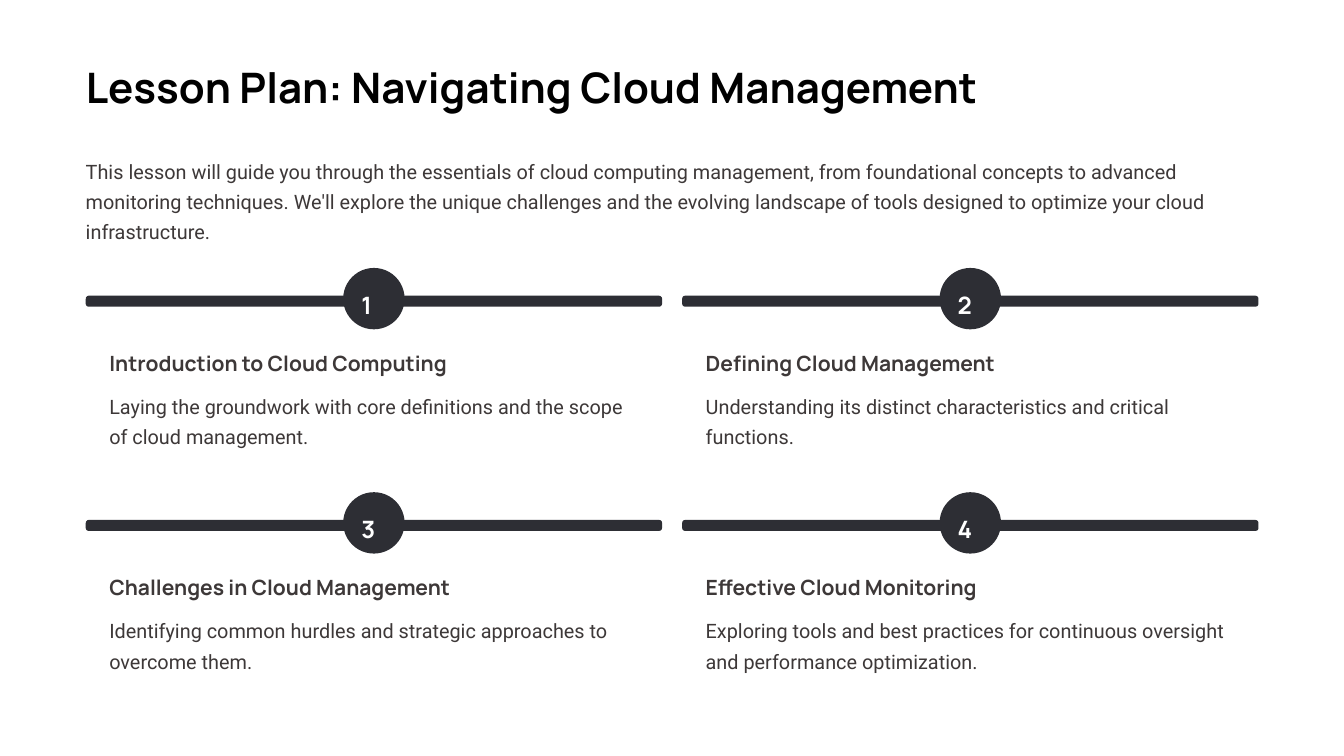
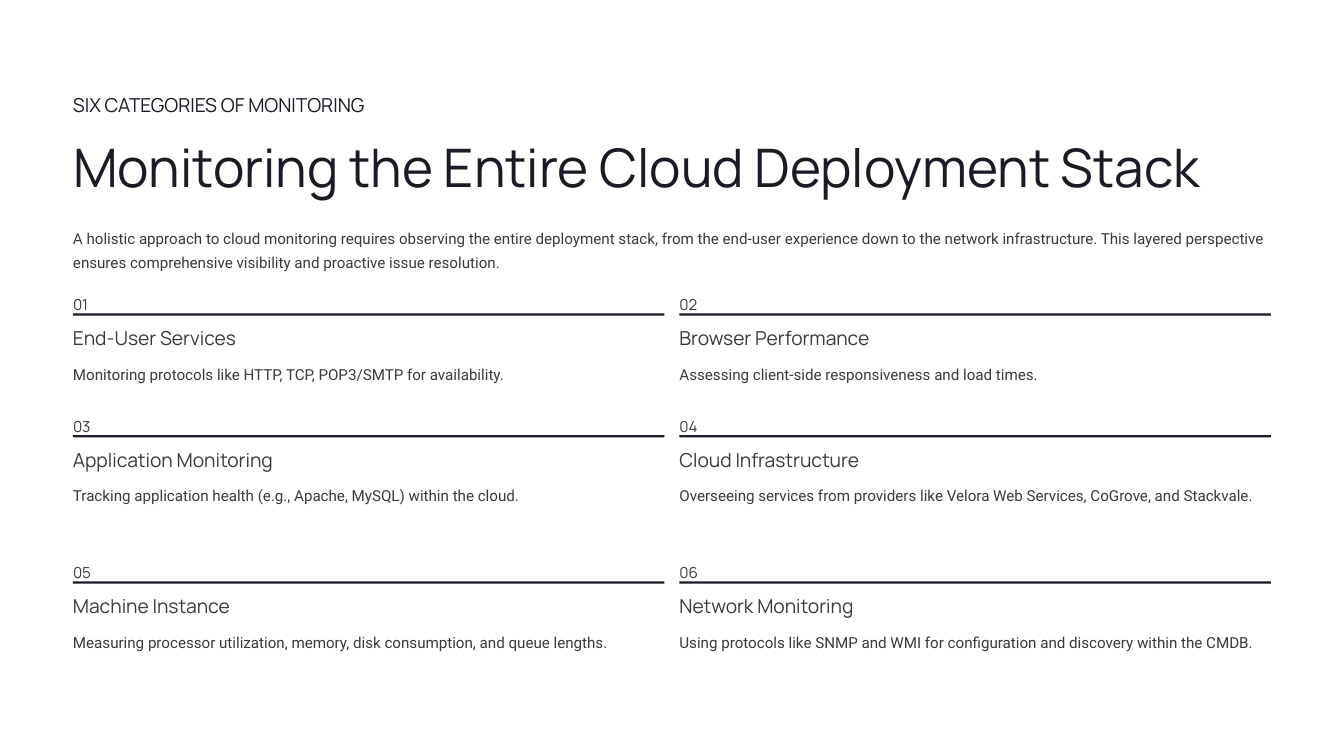
import pptx
import pptx.dml.color
import pptx.enum.shapes
import pptx.enum.text
import pptx.util

Pt = pptx.util.Pt
RGBColor = pptx.dml.color.RGBColor
Shapes = pptx.enum.shapes.MSO_SHAPE

# Shared look
BLACK = RGBColor(0x00, 0x00, 0x00)
WHITE = RGBColor(0xFF, 0xFF, 0xFF)
CHARCOAL = RGBColor(0x2D, 0x2E, 0x34)
WARM_GRAY = RGBColor(0x3D, 0x38, 0x38)
NAVY = RGBColor(0x1B, 0x1B, 0x27)
GRAY = RGBColor(0x3C, 0x39, 0x39)
HEADING_FONT = "Manrope"
BODY_FONT = "Roboto"
TITLE_ONLY = 5

LESSONS = [
    ("Introduction to Cloud Computing",
     "Laying the groundwork with core definitions and the scope of cloud management."),
    ("Defining Cloud Management",
     "Understanding its distinct characteristics and critical functions."),
    ("Challenges in Cloud Management",
     "Identifying common hurdles and strategic approaches to overcome them."),
    ("Effective Cloud Monitoring",
     "Exploring tools and best practices for continuous oversight and performance optimization."),
]

# Rows of monitoring categories: body lines reserved, then the left and right entry
CATEGORY_ROWS = [
    (1, [("End-User Services",
          "Monitoring protocols like HTTP, TCP, POP3/SMTP for availability."),
         ("Browser Performance",
          "Assessing client-side responsiveness and load times.")]),
    (2, [("Application Monitoring",
          "Tracking application health (e.g., Apache, MySQL) within the cloud."),
         ("Cloud Infrastructure",
          "Overseeing services from providers like Velora Web Services, CoGrove, and Stackvale.")]),
    (1, [("Machine Instance",
          "Measuring processor utilization, memory, disk consumption, and queue lengths."),
         ("Network Monitoring",
          "Using protocols like SNMP and WMI for configuration and discovery within the CMDB.")]),
]


def write_text(shape, text, font, size, spacing, color, bold=False, wrap=False):
    """Fill a text shape with one left-aligned run and no margins."""
    frame = shape.text_frame
    frame.margin_left = frame.margin_top = frame.margin_right = frame.margin_bottom = 0
    frame.auto_size = pptx.enum.text.MSO_AUTO_SIZE.NONE
    frame.vertical_anchor = pptx.enum.text.MSO_ANCHOR.TOP
    frame.word_wrap = wrap
    paragraph = frame.paragraphs[0]
    paragraph.alignment = pptx.enum.text.PP_ALIGN.LEFT
    paragraph.line_spacing = Pt(spacing)
    run = paragraph.add_run()
    run.text = text
    run.font.name = font
    run.font.size = Pt(size)
    run.font.bold = bold
    run.font.color.rgb = color


def add_text(slide, box, text, font, size, spacing, color, bold=False, wrap=False):
    shape = slide.shapes.add_textbox(*map(Pt, box))
    write_text(shape, text, font, size, spacing, color, bold, wrap)


def add_titled_slide(presentation, box, text, size, spacing, color, bold=False):
    slide = presentation.slides.add_slide(presentation.slide_layouts[TITLE_ONLY])
    title = slide.shapes.title
    title.left, title.top, title.width, title.height = map(Pt, box)
    write_text(title, text, HEADING_FONT, size, spacing, color, bold)
    return slide


def add_solid(slide, kind, box, color):
    shape = slide.shapes.add_shape(kind, *map(Pt, box))
    shape.shadow.inherit = False
    shape.fill.solid()
    shape.fill.fore_color.rgb = color
    shape.line.fill.background()
    return shape


def add_lesson(slide, left, top, number, heading, body):
    """A bar with a numbered circle, above a heading and a description."""
    width, circle = 494, 52.6
    bar = add_solid(slide, Shapes.ROUNDED_RECTANGLE, (left, top, width, 9.4), CHARCOAL)
    bar.adjustments[0] = 0.27
    circle_left = left + (width - circle) / 2
    add_solid(slide, Shapes.OVAL, (circle_left, top - 23.8, circle, circle), CHARCOAL)
    add_text(slide, (circle_left + 15.5, top - 10.8, 21, 26), str(number),
             HEADING_FONT, 20.5, 31, WHITE, bold=True)
    inset = 20.2
    add_text(slide, (left + inset, top + 46, 295, 23), heading,
             HEADING_FONT, 18, 22.5, WARM_GRAY, bold=True)
    add_text(slide, (left + inset, top + 79.2, width - 2 * inset, 52.6), body,
             BODY_FONT, 17, 26, WARM_GRAY, wrap=True)


def add_category(slide, left, top, number, heading, body, lines):
    """A number on a thin rule, above a heading and a description."""
    width = 507
    add_text(slide, (left, top - 20.9, 13, 16.6), f"{number:02d}",
             HEADING_FONT, 13, 21, GRAY)
    add_solid(slide, Shapes.RECTANGLE, (left, top, width, 2), NAVY)
    add_text(slide, (left, top + 10.6, 172, 21), heading,
             HEADING_FONT, 16.5, 20.5, GRAY)
    add_text(slide, (left, top + 38.9, width, 21.3 * lines), body,
             BODY_FONT, 13, 21, GRAY, wrap=True)


def build_lesson_plan(presentation):
    left = 73.5
    slide = add_titled_slide(presentation, (left, 51, 768, 45),
                             "Lesson Plan: Navigating Cloud Management",
                             36, 45, BLACK, bold=True)
    add_text(slide, (left, 131, 1005, 78),
             "This lesson will guide you through the essentials of cloud computing management, "
             "from foundational concepts to advanced monitoring techniques. We'll explore the "
             "unique challenges and the evolving landscape of tools designed to optimize your "
             "cloud infrastructure.",
             BODY_FONT, 17, 26, WARM_GRAY, wrap=True)
    for index, (heading, body) in enumerate(LESSONS):
        row, column = divmod(index, 2)
        add_lesson(slide, left + column * 511.2, 253.5 + row * 192.2,
                   index + 1, heading, body)


def build_monitoring_stack(presentation):
    left = 62.6
    slide = add_titled_slide(presentation, (left, 113, 983, 57.6),
                             "Monitoring the Entire Cloud Deployment Stack",
                             45.5, 57, NAVY)
    add_text(slide, (left, 79.2, 266, 21), "SIX CATEGORIES OF MONITORING",
             HEADING_FONT, 16.5, 20.5, NAVY)
    add_text(slide, (left, 190.8, 1027, 42.5),
             "A holistic approach to cloud monitoring requires observing the entire deployment "
             "stack, from the end-user experience down to the network infrastructure. This "
             "layered perspective ensures comprehensive visibility and proactive issue resolution.",
             BODY_FONT, 13, 21, GRAY, wrap=True)
    top, number = 268.6, 1
    for lines, entries in CATEGORY_ROWS:
        for column, (heading, body) in enumerate(entries):
            add_category(slide, left + column * 519.8, top, number, heading, body, lines)
            number += 1
        top += 83.2 + 21.1 * lines


def main():
    presentation = pptx.Presentation()
    presentation.slide_width = Pt(1152)
    presentation.slide_height = Pt(648)
    build_lesson_plan(presentation)
    build_monitoring_stack(presentation)
    presentation.save("out.pptx")


if __name__ == "__main__":
    main()
